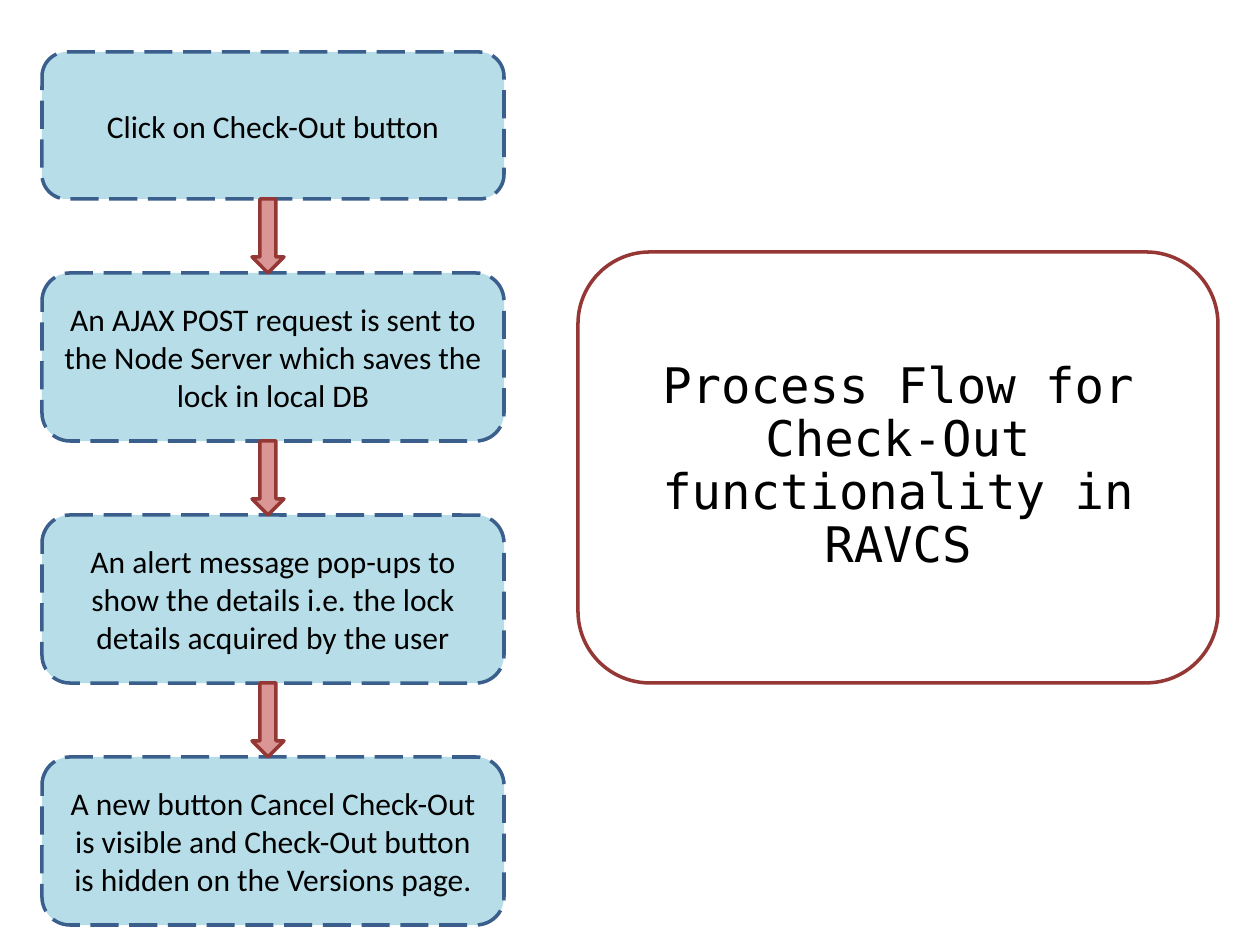
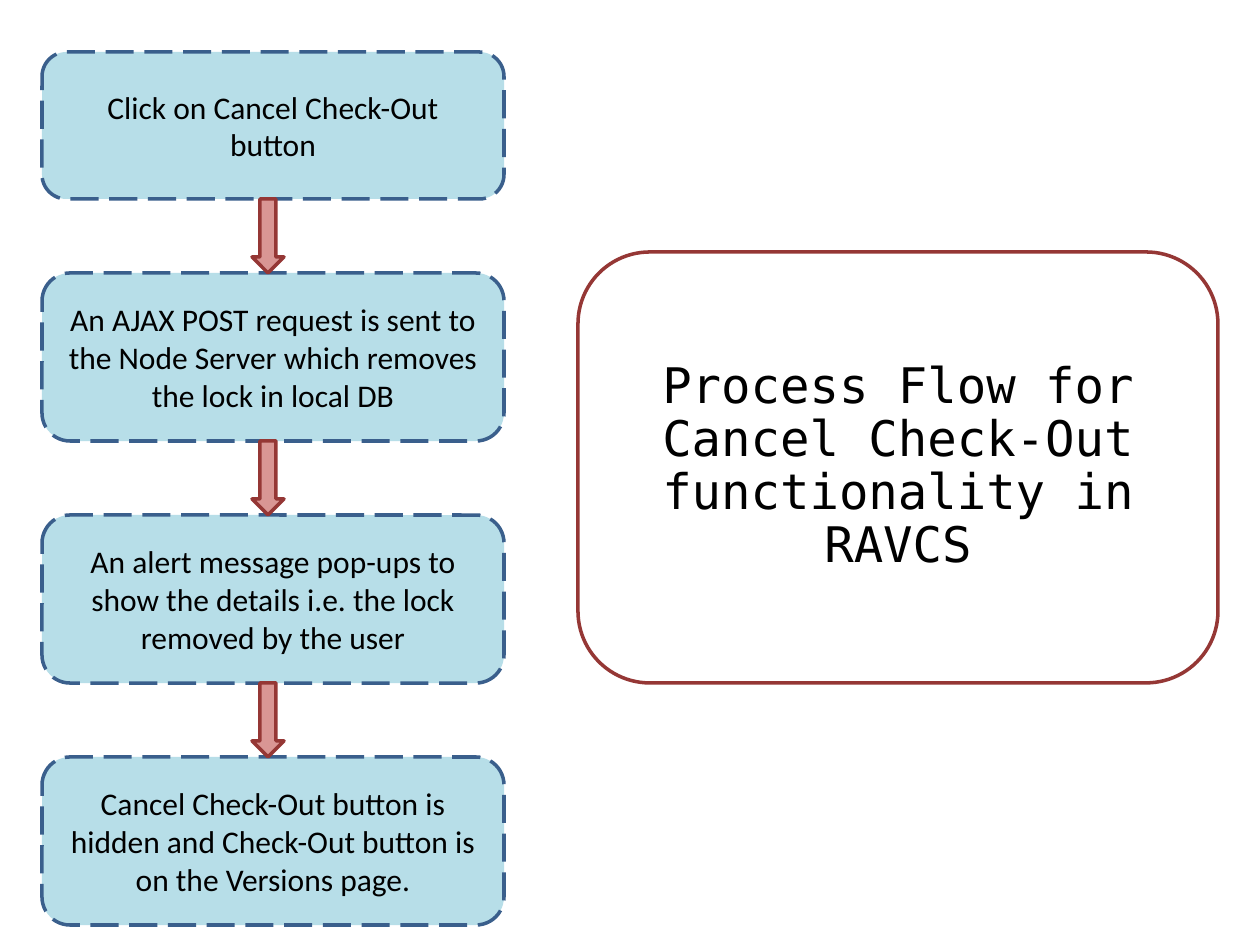
from pptx import Presentation
from pptx import util as u
from pptx.dml.color import RGBColor
from pptx.enum import dml, shapes, text

PIXEL = u.Inches(1) / 126
COLORS = {
    "step": "B7DEE8",
    "step_edge": "3A5F8C",
    "arrow": "D99694",
    "accent": "953735",
    "ink": "000000",
}
STEP_LEFT, STEP_WIDTH, FIRST_TOP = 42, 462, 52
STEP_HEIGHTS = [147, 168, 168, 168]
GAP = 74
ARROW_LEFT, ARROW_WIDTH = 252, 32
PANEL = (578, 252, 640, 431)
TITLE = (599, 254, 598, 426)

FLOWS = [
    ("Process Flow for Check-Out functionality in RAVCS", [
        "Click on Check-Out button",
        "An AJAX POST request is sent to the Node Server which saves the lock in local DB",
        "An alert message pop-ups to show the details i.e. the lock details acquired by the user",
        "A new button Cancel Check-Out is visible and Check-Out button is hidden on the Versions page.",
    ]),
    ("Process Flow for Cancel Check-Out functionality in RAVCS", [
        "Click on Cancel Check-Out button",
        "An AJAX POST request is sent to the Node Server which removes the lock in local DB",
        "An alert message pop-ups to show the details i.e. the lock removed by the user",
        "Cancel Check-Out button is hidden and Check-Out button is on the Versions page.",
    ]),
]


def px(length):
    return u.Emu(round(length * PIXEL))


def color(name):
    return RGBColor.from_string(COLORS[name])


def write(holder, words, size=18, font="Calibri", spacing=None, inset=None):
    frame = holder.text_frame
    frame.word_wrap = True
    frame.auto_size = text.MSO_AUTO_SIZE.NONE
    frame.vertical_anchor = text.MSO_ANCHOR.MIDDLE
    if inset is not None:
        frame.margin_left = frame.margin_right = px(inset)
        frame.margin_top = frame.margin_bottom = px(inset)
    paragraph = frame.paragraphs[0]
    paragraph.alignment = text.PP_ALIGN.CENTER
    paragraph.line_spacing = spacing
    run = paragraph.add_run()
    run.text = words
    run.font.size = u.Pt(size)
    run.font.name = font
    run.font.color.rgb = color("ink")


def add_outlined(slide, kind, box, edge, fill=None, dash=None):
    outlined = slide.shapes.add_shape(kind, *map(px, box))
    outlined.shadow.inherit = False
    if fill:
        outlined.fill.solid()
        outlined.fill.fore_color.rgb = color(fill)
    else:
        outlined.fill.background()
    outlined.line.color.rgb = color(edge)
    outlined.line.width = u.Pt(2)
    if dash:
        outlined.line.dash_style = dash
    return outlined


def add_step(slide, top, height, words):
    step = add_outlined(slide, shapes.MSO_SHAPE.ROUNDED_RECTANGLE,
                        (STEP_LEFT, top, STEP_WIDTH, height),
                        "step_edge", "step", dml.MSO_LINE.LONG_DASH)
    write(step, words)


def add_arrow(slide, top):
    add_outlined(slide, shapes.MSO_SHAPE.DOWN_ARROW,
                 (ARROW_LEFT, top, ARROW_WIDTH, GAP), "accent", "arrow")


def add_heading(slide, words):
    add_outlined(slide, shapes.MSO_SHAPE.ROUNDED_RECTANGLE, PANEL, "accent")
    title = slide.shapes.title
    title.left, title.top, title.width, title.height = map(px, TITLE)
    write(title, words, size=28, font="DejaVu Sans Mono", spacing=0.9, inset=15)


def add_flow(slide, steps):
    top = FIRST_TOP
    arrow_tops = []
    for words, height in zip(steps, STEP_HEIGHTS):
        add_step(slide, top, height, words)
        arrow_tops.append(top + height)
        top += height + GAP
    for arrow_top in arrow_tops[:-1]:
        add_arrow(slide, arrow_top)


def main():
    deck = Presentation()
    deck.slide_width, deck.slide_height = u.Inches(10), u.Inches(7.5)
    title_only = deck.slide_layouts[5]
    for heading, steps in FLOWS:
        slide = deck.slides.add_slide(title_only)
        add_heading(slide, heading)
        add_flow(slide, steps)
    deck.save("out.pptx")


main()
